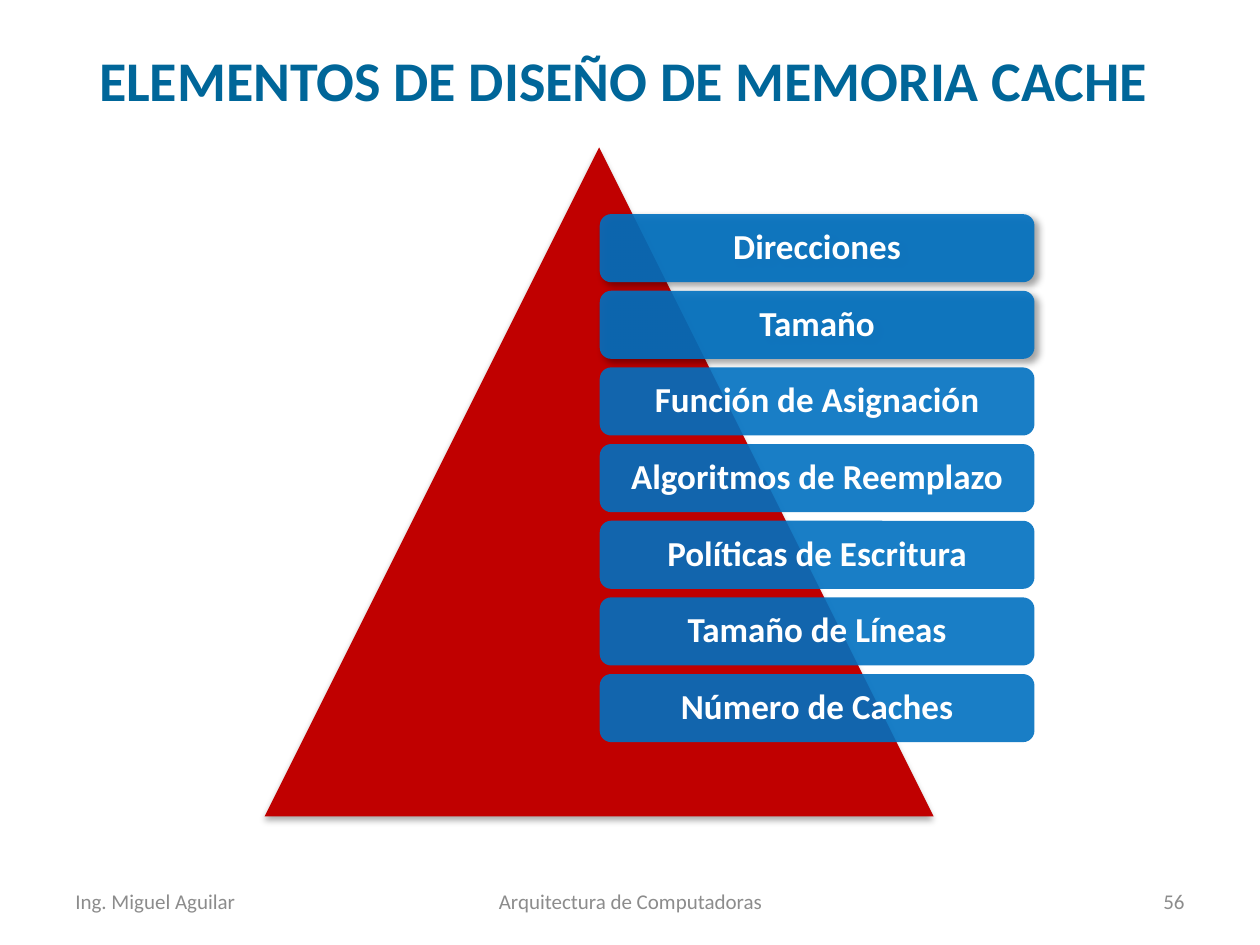
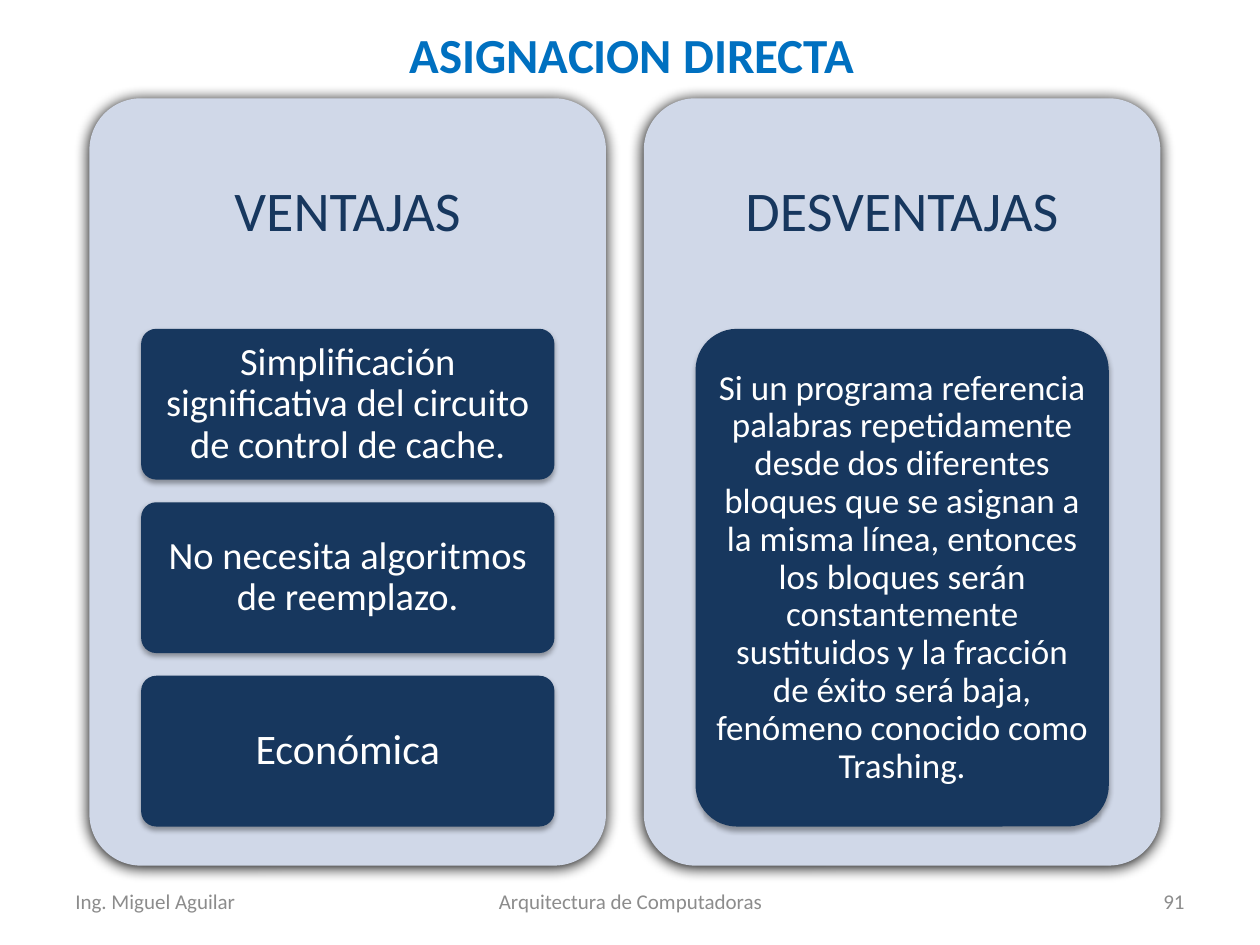
from lxml.etree import SubElement
from pptx import Presentation
from pptx.dml.color import RGBColor
from pptx.enum.shapes import MSO_SHAPE
from pptx.enum.text import MSO_ANCHOR, PP_ALIGN
from pptx.oxml.ns import qn
from pptx.util import Inches, Pt

FONT = "Calibri"
BLUE, TITLE_BLUE, NAVY = "0070C0", "006699", "17375E"
RED, PALE, GREY, WHITE = "C00000", "D0D8E8", "8C8C8C", "FFFFFF"

DESIGN_TITLE = "ELEMENTOS DE DISEÑO DE MEMORIA CACHE "
DESIGN_ELEMENTS = [
    "Direcciones",
    "Tamaño",
    "Función de Asignación",
    "Algoritmos de Reemplazo",
    "Políticas de Escritura",
    "Tamaño de Líneas",
    "Número de Caches",
]
SHADOWED_ELEMENTS = 2

MAPPING_TITLE = "ASIGNACION DIRECTA"
MAPPING_PANELS = [
    ("VENTAJAS", [
        ("Simplificación significativa del circuito de control de cache.", 22),
        ("No necesita algoritmos de reemplazo.", 22),
        ("Económica", 24),
    ]),
    ("DESVENTAJAS", [
        ("Si un programa referencia palabras repetidamente desde dos diferentes "
         "bloques que se asignan a la misma línea, entonces los bloques serán "
         "constantemente sustituidos y la fracción de éxito será baja, fenómeno "
         "conocido como Trashing.", 20),
    ]),
]

AUTHOR, COURSE = "Ing. Miguel Aguilar", "Arquitectura de Computadoras"

TRIANGLE_SHADOW = (32, 3.5, 2.2, 90)
ELEMENT_SHADOW = (40, 4, 3, 45)
PANEL_SHADOW = (100, 8.5, 1, 90)
CARD_SHADOW = (35, 3.1, 1.8, 90)


def color(hex_value):
    """Return the colour for a hex string."""
    return RGBColor.from_string(hex_value)


def set_text(shape, text, size, hex_value, bold=False, align=PP_ALIGN.CENTER,
             spacing=None, insets=(0.1, 0.05)):
    """Write one formatted paragraph, centred vertically, into a shape."""
    frame = shape.text_frame
    frame.text = text
    frame.word_wrap = True
    frame.vertical_anchor = MSO_ANCHOR.MIDDLE
    frame.margin_left = frame.margin_right = Inches(insets[0])
    frame.margin_top = frame.margin_bottom = Inches(insets[1])
    paragraph = frame.paragraphs[0]
    paragraph.alignment = align
    if spacing:
        paragraph.line_spacing = spacing
    font = paragraph.runs[0].font
    font.name, font.size, font.bold = FONT, Pt(size), bold
    font.color.rgb = color(hex_value)


def add_text(slide, box, *args, **options):
    """Add a text box holding one formatted paragraph."""
    shape = slide.shapes.add_textbox(*map(Inches, box))
    set_text(shape, *args, **options)


def add_block(slide, kind, box, fill, shadow=None, opacity=100, radius=None):
    """Add a borderless filled shape with an optional shadow."""
    shape = slide.shapes.add_shape(kind, *map(Inches, box))
    shape.fill.solid()
    shape.fill.fore_color.rgb = color(fill)
    shape.line.fill.background()
    shape.shadow.inherit = False
    if radius:
        shape.adjustments[0] = radius
    properties = shape._element.spPr
    if opacity < 100:
        fill_color = properties.find(f"{qn('a:solidFill')}/{qn('a:srgbClr')}")
        SubElement(fill_color, qn("a:alpha"), val=str(opacity * 1000))
    if shadow:
        strength, blur, distance, angle = shadow
        outer = SubElement(properties.find(qn("a:effectLst")), qn("a:outerShdw"),
                           blurRad=str(Pt(blur)), dist=str(Pt(distance)),
                           dir=str(angle * 60000), algn="ctr", rotWithShape="0")
        shadow_color = SubElement(outer, qn("a:srgbClr"), val="000000")
        SubElement(shadow_color, qn("a:alpha"), val=str(strength * 1000))
    return shape


def add_slide(presentation, title, title_box, size, hex_value, number):
    """Add a slide with its title and the shared footer."""
    slide = presentation.slides.add_slide(presentation.slide_layouts[5])
    shape = slide.shapes.title
    shape.left, shape.top, shape.width, shape.height = map(Inches, title_box)
    set_text(shape, title, size, hex_value, bold=True)
    for text, left, width, align in [
        (AUTHOR, 0.5, 2.33, PP_ALIGN.LEFT),
        (COURSE, 3.42, 3.17, PP_ALIGN.CENTER),
        (number, 7.17, 2.33, PP_ALIGN.RIGHT),
    ]:
        add_text(slide, (left, 6.95, width, 0.4), text, 12, GREY, align=align)
    return slide


def build_design_slide(presentation):
    """Build the triangle with its column of design elements."""
    slide = add_slide(presentation, DESIGN_TITLE, (0.5, 0, 9, 1.25), 32, TITLE_BLUE, "56")
    add_block(slide, MSO_SHAPE.ISOSCELES_TRIANGLE, (2.1, 1.17, 5.31, 5.31), RED,
              TRIANGLE_SHADOW)
    first_top, last_top = 1.7, 5.35
    step = (last_top - first_top) / (len(DESIGN_ELEMENTS) - 1)
    for index, element in enumerate(DESIGN_ELEMENTS):
        shadow = ELEMENT_SHADOW if index < SHADOWED_ELEMENTS else None
        bar = add_block(slide, MSO_SHAPE.ROUNDED_RECTANGLE,
                        (4.76, first_top + index * step, 3.45, 0.54), BLUE,
                        shadow, opacity=90)
        set_text(bar, element, 20, WHITE, bold=True, spacing=0.9, insets=(0.08, 0.08))


def build_mapping_slide(presentation):
    """Build the two panels of cards, dividing each panel's height evenly."""
    slide = add_slide(presentation, MAPPING_TITLE, (0.42, 0, 9.19, 0.86), 28, BLUE, "91")
    top, width, height, margin = 0.78, 4.1, 6.09, 0.41
    cards_top, cards_height, gap = 2.61, 3.95, 0.18
    for column, (heading, cards) in enumerate(MAPPING_PANELS):
        left = 0.71 + column * 4.4
        add_block(slide, MSO_SHAPE.ROUNDED_RECTANGLE, (left, top, width, height), PALE,
                  PANEL_SHADOW, radius=0.1)
        add_text(slide, (left, top, width, cards_top - top), heading, 32, NAVY,
                 spacing=0.9, insets=(0.13, 0.13))
        card_height = (cards_height + gap) / len(cards) - gap
        for row, (text, size) in enumerate(cards):
            card = add_block(slide, MSO_SHAPE.ROUNDED_RECTANGLE,
                             (left + margin, cards_top + row * (card_height + gap),
                              width - 2 * margin, card_height),
                             NAVY, CARD_SHADOW, radius=0.1)
            set_text(card, text, size, WHITE, spacing=0.9, insets=(0.06, 0.05))


def main():
    """Create the presentation and save it."""
    presentation = Presentation()
    presentation.slide_width, presentation.slide_height = Inches(10), Inches(7.5)
    build_design_slide(presentation)
    build_mapping_slide(presentation)
    presentation.save("out.pptx")


if __name__ == "__main__":
    main()
